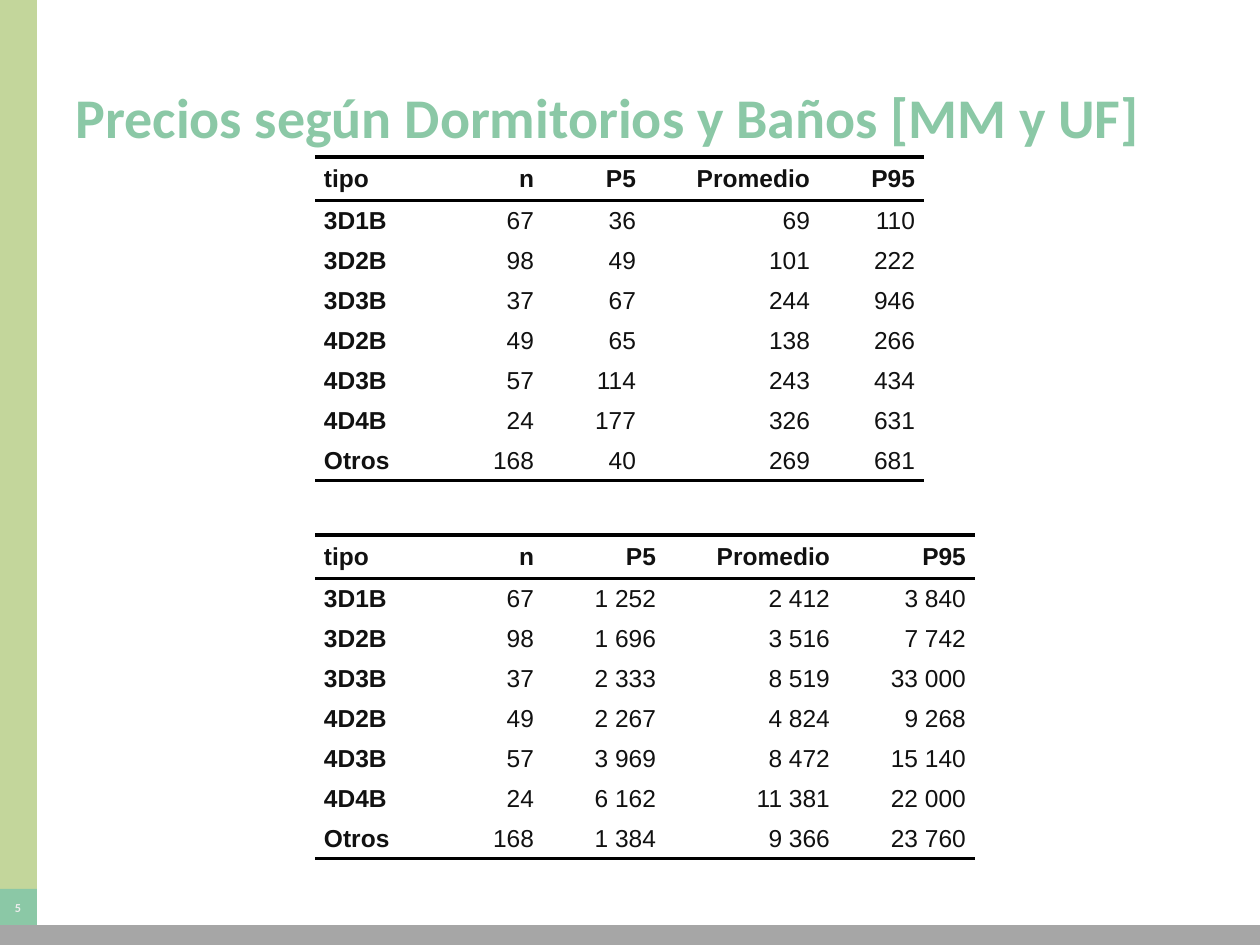
import dataclasses

import lxml.etree
import pptx
import pptx.dml.color
import pptx.enum.shapes
import pptx.enum.text
import pptx.oxml.ns
import pptx.util

PX = 914400 / 126
HEADER_H, ROW_H = 44, 40
CELL_INDENT = 9
COLORS = {
    "lime": "C3D69B",
    "green": "8BC8A6",
    "gray": "A6A6A6",
    "number": "ECECEC",
    "text": "111111",
    "rule": "000000",
}
HEADER = ("tipo", "n", "P5", "Promedio", "P95")
COUNTS = (
    ("3D1B", "67"),
    ("3D2B", "98"),
    ("3D3B", "37"),
    ("4D2B", "49"),
    ("4D3B", "57"),
    ("4D4B", "24"),
    ("Otros", "168"),
)
NO_STYLE = "{2D5ABB26-0587-4C30-8999-92F81FD0307C}"
ALIGN = pptx.enum.text.PP_ALIGN
MIDDLE = pptx.enum.text.MSO_ANCHOR.MIDDLE


@dataclasses.dataclass(frozen=True)
class Box:
    left: int
    top: int
    width: int
    height: int
    color: str


@dataclasses.dataclass(frozen=True)
class PriceTable:
    left: int
    top: int
    widths: tuple[int, ...]
    prices: tuple[tuple[str, ...], ...]


SIDE_BAR = Box(0, 0, 37, 889, "lime")
NUMBER_BOX = Box(-1, 889, 38, 37, "green")
FOOTER_BAR = Box(-1, 925, 1264, 20, "gray")

TABLES = (
    PriceTable(315, 157, (126, 102, 102, 174, 105), (
        ("36", "69", "110"),
        ("49", "101", "222"),
        ("67", "244", "946"),
        ("65", "138", "266"),
        ("114", "243", "434"),
        ("177", "326", "631"),
        ("40", "269", "681"),
    )),
    PriceTable(315, 535, (126, 102, 122, 174, 136), (
        ("1 252", "2 412", "3 840"),
        ("1 696", "3 516", "7 742"),
        ("2 333", "8 519", "33 000"),
        ("2 267", "4 824", "9 268"),
        ("3 969", "8 472", "15 140"),
        ("6 162", "11 381", "22 000"),
        ("1 384", "9 366", "23 760"),
    )),
)


def emu(px: int) -> int:
    return round(px * PX)


def rgb(name: str) -> pptx.dml.color.RGBColor:
    return pptx.dml.color.RGBColor.from_string(COLORS[name])


def add_run(p, text: str, size: int, font: str, color: str, bold: bool = True) -> None:
    r = p.add_run()
    r.text = text
    r.font.size = pptx.util.Pt(size)
    r.font.name = font
    r.font.bold = bold
    r.font.color.rgb = rgb(color)


def add_box(s, box: Box):
    sp = s.shapes.add_shape(
        pptx.enum.shapes.MSO_SHAPE.RECTANGLE,
        *map(emu, (box.left, box.top, box.width, box.height)),
    )
    sp.shadow.inherit = False
    sp.fill.solid()
    sp.fill.fore_color.rgb = rgb(box.color)
    sp.line.fill.background()
    return sp


def add_number(s, text: str) -> None:
    tf = add_box(s, NUMBER_BOX).text_frame
    tf.margin_left = tf.margin_right = tf.margin_top = tf.margin_bottom = 0
    tf.vertical_anchor = MIDDLE
    p = tf.paragraphs[0]
    p.alignment = ALIGN.CENTER
    add_run(p, text, 7, "Calibri", "number")


def add_title(s, text: str) -> None:
    tf = s.shapes.add_textbox(*map(emu, (63, 38, 1134, 157))).text_frame
    tf.word_wrap = True
    tf.vertical_anchor = MIDDLE
    add_run(tf.paragraphs[0], text, 32, "Calibri", "green")


def add_rule(cell, tag: str) -> None:
    qn = pptx.oxml.ns.qn
    ln = lxml.etree.SubElement(cell._tc.get_or_add_tcPr(), qn(tag), w=str(pptx.util.Pt(2)))
    fill = lxml.etree.SubElement(ln, qn("a:solidFill"))
    lxml.etree.SubElement(fill, qn("a:srgbClr"), val=COLORS["rule"])


def fill_cell(cell, text: str, first_col: bool, header: bool, last: bool) -> None:
    if header:
        add_rule(cell, "a:lnT")
    if header or last:
        add_rule(cell, "a:lnB")
    cell.fill.background()
    cell.margin_left = cell.margin_right = cell.margin_top = cell.margin_bottom = 0
    cell.vertical_anchor = MIDDLE
    p = cell.text_frame.paragraphs[0]
    p.alignment = ALIGN.LEFT if first_col else ALIGN.RIGHT
    p.space_before = p.space_after = pptx.util.Pt(2)
    pPr = p._p.get_or_add_pPr()
    for side in ("marL", "marR"):
        pPr.set(side, str(emu(CELL_INDENT)))
    add_run(p, text, 14, "Arial", "text", header or first_col)


def add_price_table(s, spec_table: PriceTable) -> None:
    rows = [HEADER] + [c + v for c, v in zip(COUNTS, spec_table.prices)]
    heights = [HEADER_H] + [ROW_H] * len(COUNTS)
    frame = s.shapes.add_table(
        len(rows), len(HEADER),
        *map(emu, (spec_table.left, spec_table.top, sum(spec_table.widths), sum(heights))),
    )
    table = frame.table
    table.first_row = table.horz_banding = False
    table._tbl.tblPr.find(pptx.oxml.ns.qn("a:tableStyleId")).text = NO_STYLE
    for col, width in zip(table.columns, spec_table.widths):
        col.width = emu(width)
    for i, (values, height) in enumerate(zip(rows, heights)):
        table.rows[i].height = emu(height)
        for j, text in enumerate(values):
            fill_cell(table.cell(i, j), text, j == 0, i == 0, i == len(rows) - 1)


def main() -> None:
    """Build the slide of prices by bedrooms and bathrooms."""
    prs = pptx.Presentation()
    prs.slide_width, prs.slide_height = emu(1260), emu(945)
    s = prs.slides.add_slide(prs.slide_layouts[6])
    add_box(s, SIDE_BAR)
    add_number(s, "5")
    add_box(s, FOOTER_BAR)
    add_title(s, "Precios según Dormitorios y Baños [MM y UF]")
    for price_table in TABLES:
        add_price_table(s, price_table)
    prs.save("out.pptx")


if __name__ == "__main__":
    main()
